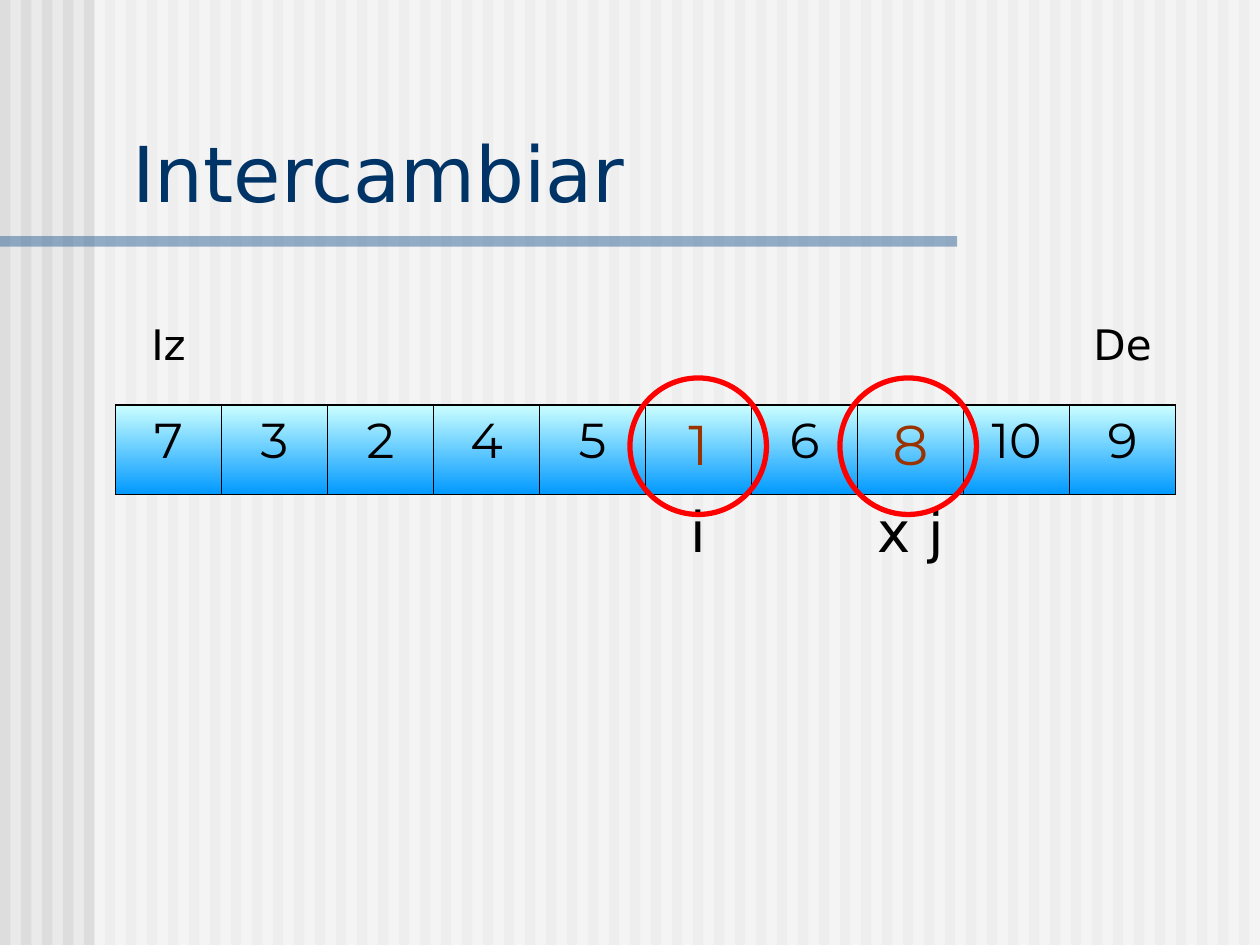
"""Build the slide that shows an exchange step while sorting an array."""
import pptx
import pptx.dml.color
import pptx.enum.shapes
import pptx.enum.text
import pptx.oxml
import pptx.oxml.ns
import pptx.util
from dataclasses import dataclass

Pt = pptx.util.Pt

TITLE = "Intercambiar"
VALUES = ["7", "3", "2", "4", "5", "1", "6", "8", "10", "9"]
BOUNDS = {0: "Iz", 9: "De"}
POINTERS = {5: "i", 7: "x j"}
SWAPPED = [5, 7]


@dataclass(frozen=True)
class Theme:
    """Colours, fonts and type sizes of the slide."""
    background: str = "EAEAEA"
    stripe: str = "DDDDDD"
    veil: str = "FFFFFF"
    rule: str = "336699"
    title: str = "003366"
    ink: str = "000000"
    swapped: str = "993300"
    ring: str = "FF0000"
    cell_top: str = "CCFFFF"
    cell_bottom: str = "0099FF"
    text_font: str = "DejaVu Sans"
    value_font: str = "Montserrat"
    title_size: int = 44
    bound_size: int = 24
    value_size: int = 28
    marked_size: int = 32


THEME = Theme()
WIDTH, HEIGHT = 720, 540
STRIPE_PITCH, STRIPE_WIDTH = 12, 6
ARRAY_LEFT, ARRAY_TOP = 66, 180
COLUMN_WIDTH, ROW_HEIGHT = 60.6, 51.3
RING_LEFT, RING_TOP, RING_PITCH, RING_SIZE = 360, 216, 120, 78
OUTER_LINE, INNER_LINE = 1.08, 0.45
NO_GRID_STYLE = "{2D5ABB26-0587-4C30-8999-92F81FD0307C}"


def rgb(value):
    """Return the colour object for a hex value."""
    return pptx.dml.color.RGBColor.from_string(value)


def write(frame, text, size, color=THEME.ink, font=THEME.text_font, align="CENTER"):
    """Put formatted text in a text frame."""
    paragraph = frame.paragraphs[0]
    paragraph.alignment = getattr(pptx.enum.text.PP_ALIGN, align)
    run = paragraph.add_run()
    run.text = text
    run.font.size = Pt(size)
    run.font.name = font
    run.font.color.rgb = rgb(color)


def add_band(slide, left, top, width, height, color, alpha=100):
    """Add a borderless rectangle with an opacity in percent."""
    kind = pptx.enum.shapes.MSO_SHAPE.RECTANGLE
    band = slide.shapes.add_shape(kind, Pt(left), Pt(top), Pt(width), Pt(height))
    band.shadow.inherit = False
    band.line.fill.background()
    band.fill.solid()
    band.fill.fore_color.rgb = rgb(color)
    if alpha < 100:
        fill_color = band.fill._xPr.find(".//" + pptx.oxml.ns.qn("a:srgbClr"))
        opacity = pptx.oxml.parse_xml(
            f'<a:alpha {pptx.oxml.ns.nsdecls("a")} val="{alpha * 1000}"/>')
        fill_color.append(opacity)


def add_ring(slide, left):
    """Circle one of the values to exchange."""
    kind = pptx.enum.shapes.MSO_SHAPE.OVAL
    ring = slide.shapes.add_shape(kind, Pt(left), Pt(RING_TOP), Pt(RING_SIZE), Pt(RING_SIZE))
    ring.shadow.inherit = False
    ring.fill.background()
    ring.line.color.rgb = rgb(THEME.ring)
    ring.line.width = Pt(3)


def outline(cell, **widths):
    """Draw the cell borders, each side given by its letter and width."""
    properties = cell._tc.get_or_add_tcPr()
    for position, (side, width) in enumerate(widths.items()):
        border = pptx.oxml.parse_xml(
            f'<a:ln{side} {pptx.oxml.ns.nsdecls("a")} w="{Pt(width)}">'
            f'<a:solidFill><a:srgbClr val="{THEME.ink}"/></a:solidFill></a:ln{side}>')
        properties.insert(position, border)


def fill_value_cell(cell, column):
    """Write, shade and outline one value of the array."""
    marked = column in SWAPPED
    write(cell.text_frame, VALUES[column], font=THEME.value_font,
          size=THEME.marked_size if marked else THEME.value_size,
          color=THEME.swapped if marked else THEME.ink)
    cell.fill.gradient()
    cell.fill.gradient_angle = 270
    for stop, color in zip(cell.fill.gradient_stops, (THEME.cell_top, THEME.cell_bottom)):
        stop.color.rgb = rgb(color)
    outline(cell,
            L=OUTER_LINE if column == 0 else INNER_LINE,
            R=OUTER_LINE if column == len(VALUES) - 1 else INNER_LINE,
            T=OUTER_LINE, B=OUTER_LINE)


def add_array(slide):
    """Add the array with its bounds above and its pointers below."""
    frame = slide.shapes.add_table(
        3, len(VALUES), Pt(ARRAY_LEFT), Pt(ARRAY_TOP),
        Pt(COLUMN_WIDTH * len(VALUES)), Pt(ROW_HEIGHT * 3))
    array = frame.table
    array.first_row = array.horz_banding = False
    array._tbl.tblPr.find(pptx.oxml.ns.qn("a:tableStyleId")).text = NO_GRID_STYLE
    for row in array.rows:
        row.height = Pt(ROW_HEIGHT)
    for index, column in enumerate(array.columns):
        column.width = Pt(COLUMN_WIDTH)
        fill_value_cell(array.cell(1, index), index)
    for row, labels, size in ((0, BOUNDS, THEME.bound_size), (2, POINTERS, THEME.marked_size)):
        for index in range(len(VALUES)):
            cell = array.cell(row, index)
            cell.fill.background()
            if index in labels:
                write(cell.text_frame, labels[index], size=size)


def add_backdrop(slide):
    """Add the striped background and the rule under the title."""
    slide.background.fill.solid()
    slide.background.fill.fore_color.rgb = rgb(THEME.background)
    for left in range(0, WIDTH, STRIPE_PITCH):
        add_band(slide, left, 0, STRIPE_WIDTH, HEIGHT, THEME.stripe)
    add_band(slide, 54, 0, WIDTH - 54, HEIGHT, THEME.veil, alpha=50)
    add_band(slide, 0, 135, 547, 6, THEME.rule, alpha=50)


def place_title(slide):
    """Move the title placeholder above the backdrop and format it."""
    title = slide.shapes.title
    title.element.getparent().append(title.element)
    title.left, title.top, title.width, title.height = Pt(68.4), Pt(67.7), Pt(643), Pt(60.5)
    title.text_frame.vertical_anchor = pptx.enum.text.MSO_ANCHOR.BOTTOM
    title.text_frame.auto_size = pptx.enum.text.MSO_AUTO_SIZE.SHAPE_TO_FIT_TEXT
    write(title.text_frame, TITLE, size=THEME.title_size, color=THEME.title, align="LEFT")


def main():
    """Assemble and save the slide."""
    deck = pptx.Presentation()
    deck.slide_width, deck.slide_height = Pt(WIDTH), Pt(HEIGHT)
    slide = deck.slides.add_slide(deck.slide_layouts.get_by_name("Title Only"))
    add_backdrop(slide)
    add_array(slide)
    place_title(slide)
    for order in range(len(SWAPPED)):
        add_ring(slide, RING_LEFT + order * RING_PITCH)
    deck.save("out.pptx")


if __name__ == "__main__":
    main()
